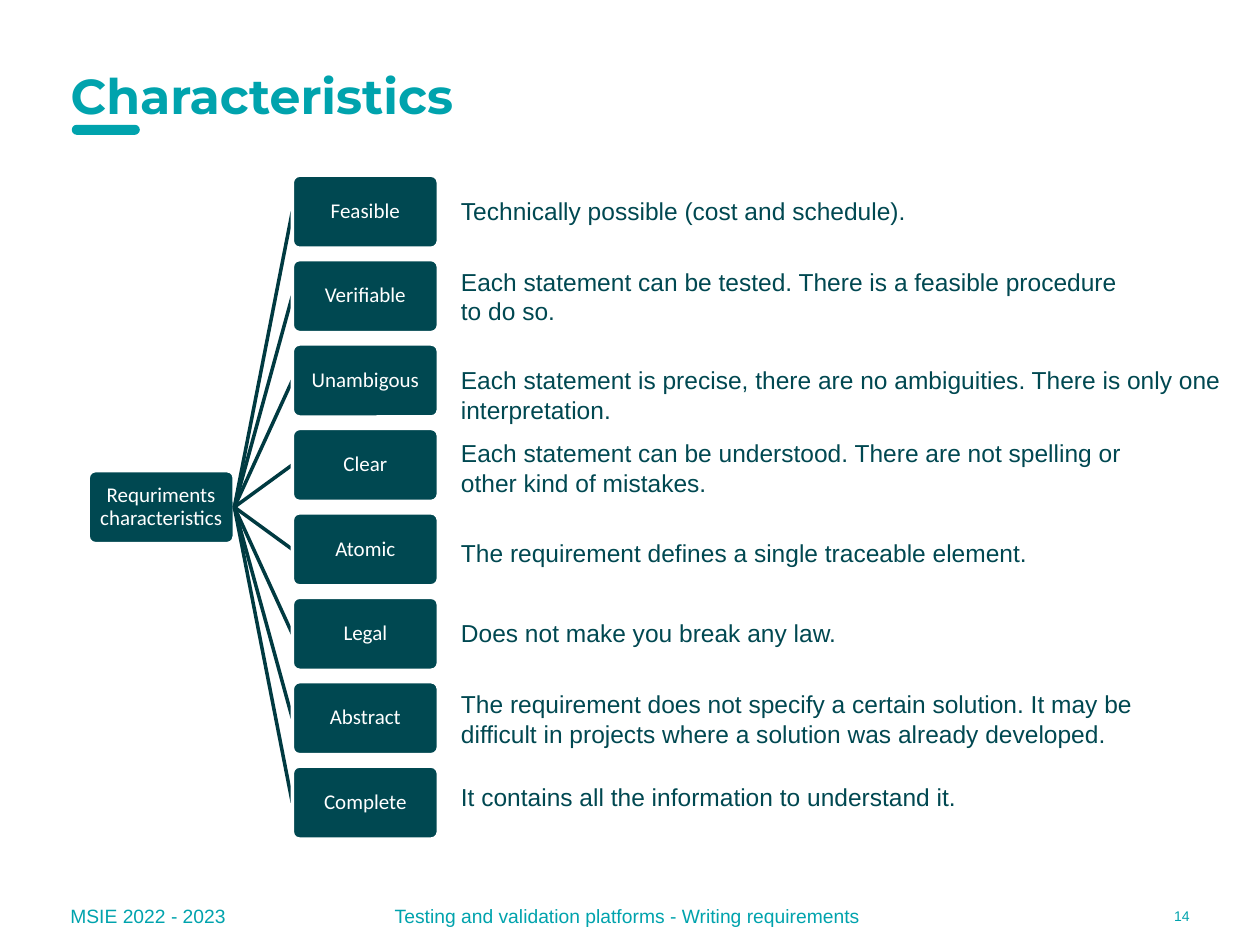
from lxml.etree import SubElement
from pptx import Presentation
from pptx.dml.color import RGBColor
from pptx.enum.shapes import MSO_CONNECTOR as Link, MSO_SHAPE as Shape
from pptx.enum.text import MSO_ANCHOR as Anchor, MSO_AUTO_SIZE as Fit, PP_ALIGN as Align
from pptx.oxml.ns import qn
from pptx.util import Inches, Pt

TEAL = RGBColor(0x00, 0xA3, 0xAD)
DARK = RGBColor(0x00, 0x48, 0x51)
EDGE = RGBColor(0x00, 0x3A, 0x41)
WHITE = RGBColor(0xFF, 0xFF, 0xFF)

BOX_W, BOX_H, STEP = 1.16, 0.58, 0.67

# Name, description, top and width of the description
TRAITS = [
    ("Feasible", "Technically possible (cost and schedule).", 1.51, 5.58),
    ("Verifiable", "Each statement can be tested. There is a feasible procedure "
     "to do so.", 2.07, 5.58),
    ("Unambigous", "Each statement is precise, there are no ambiguities. "
     "There is only one interpretation.", 2.85, 6.44),
    ("Clear", "Each statement can be understood. There are not spelling or "
     "other kind of mistakes.", 3.43, 5.58),
    ("Atomic", "The requirement defines a single traceable element.", 4.22, 5.58),
    ("Legal", "Does not make you break any law.", 4.86, 5.58),
    ("Abstract", "The requirement does not specify a certain solution. It may be "
     "difficult in projects where a solution was already developed.", 5.42, 5.58),
    ("Complete", "It contains all the information to understand it.", 6.16, 5.58),
]


def add_run(para, text, size, color, font="Arial", bold=False):
    run = para.add_run()
    run.text = text
    run.font.size = Pt(size)
    run.font.name = font
    run.font.bold = bold
    run.font.color.rgb = color


def add_text(slide, box, text, size, color, align=Align.LEFT, anchor=Anchor.TOP):
    frame = slide.shapes.add_textbox(*map(Inches, box)).text_frame
    frame.word_wrap = True
    frame.vertical_anchor = anchor
    para = frame.paragraphs[0]
    para.alignment = align
    add_run(para, text, size, color)


def add_round(slide, box, fill, adjust):
    shape = slide.shapes.add_shape(Shape.ROUNDED_RECTANGLE, *map(Inches, box))
    shape.shadow.inherit = False
    shape.adjustments[0] = adjust
    shape.fill.solid()
    shape.fill.fore_color.rgb = fill
    shape.line.fill.background()
    return shape


def add_node(slide, left, top, text):
    node = add_round(slide, (left, top, BOX_W, BOX_H), DARK, 0.1)
    node.line.color.rgb = WHITE
    node.line.width = Pt(2)
    frame = node.text_frame
    frame.word_wrap = True
    frame.vertical_anchor = Anchor.MIDDLE
    frame.margin_left = frame.margin_right = Inches(0.03)
    frame.margin_top = frame.margin_bottom = Inches(0.03)
    para = frame.paragraphs[0]
    para.alignment = Align.CENTER
    para.line_spacing = 0.9
    add_run(para, text, 12, WHITE, "Calibri")
    return node


def add_link(slide, root, left, top):
    """Join the root to the left side of the node about to be placed."""
    link = slide.shapes.add_connector(
        Link.STRAIGHT, 0, 0, Inches(left), Inches(top + BOX_H / 2))
    link.begin_connect(root, 3)
    link.line.color.rgb = EDGE
    link.line.width = Pt(2)
    SubElement(link.element.spPr, qn("a:effectLst"))
    return link


def add_header(slide, left, top, width, height):
    title = slide.shapes.title
    title.left, title.top = Inches(left), Inches(top)
    title.width, title.height = Inches(width), Inches(height)
    frame = title.text_frame
    frame.auto_size = Fit.NONE
    frame.vertical_anchor = Anchor.MIDDLE
    para = frame.paragraphs[0]
    para.alignment = Align.LEFT
    add_run(para, "Characteristics", 28, TEAL, "Montserrat", True)
    add_round(slide, (left + 0.11, top + height, 0.54, 0.08), TEAL, 0.5)


def add_tree(slide, left, top):
    """Place the root, centred beside a column of linked nodes."""
    column = left + 1.62
    middle = top + STEP * (len(TRAITS) - 1) / 2
    root = add_node(slide, left, middle, "Requriments characteristics")
    for i, (name, *_) in enumerate(TRAITS):
        y = top + i * STEP
        link = add_link(slide, root, column, y)
        link.end_connect(add_node(slide, column, y, name), 1)


def add_notes(slide, left):
    for _, text, top, width in TRAITS:
        height = 0.34 if len(text) < 60 else 0.57
        add_text(slide, (left, top, width, height), text, 14, DARK)


def add_footer(slide, top, height):
    for left, width, text, size, align in (
        (0.46, 1.54, "MSIE 2022 - 2023", 11, Align.LEFT),
        (2.37, 5.22, "Testing and validation platforms - Writing requirements",
         11, Align.CENTER),
        (8.32, 1.22, "14", 8, Align.RIGHT),
    ):
        add_text(slide, (left, top, width, height), text, size, TEAL,
                 align, Anchor.MIDDLE)


def main():
    deck = Presentation()
    deck.slide_width, deck.slide_height = Inches(10), Inches(7.5)
    slide = deck.slides.add_slide(deck.slide_layouts[5])
    add_header(slide, 0.46, 0.52, 8.38, 0.47)
    add_footer(slide, 7.07, 0.4)
    add_notes(slide, 3.56)
    add_tree(slide, 0.7, 1.39)
    deck.save("out.pptx")


if __name__ == "__main__":
    main()
